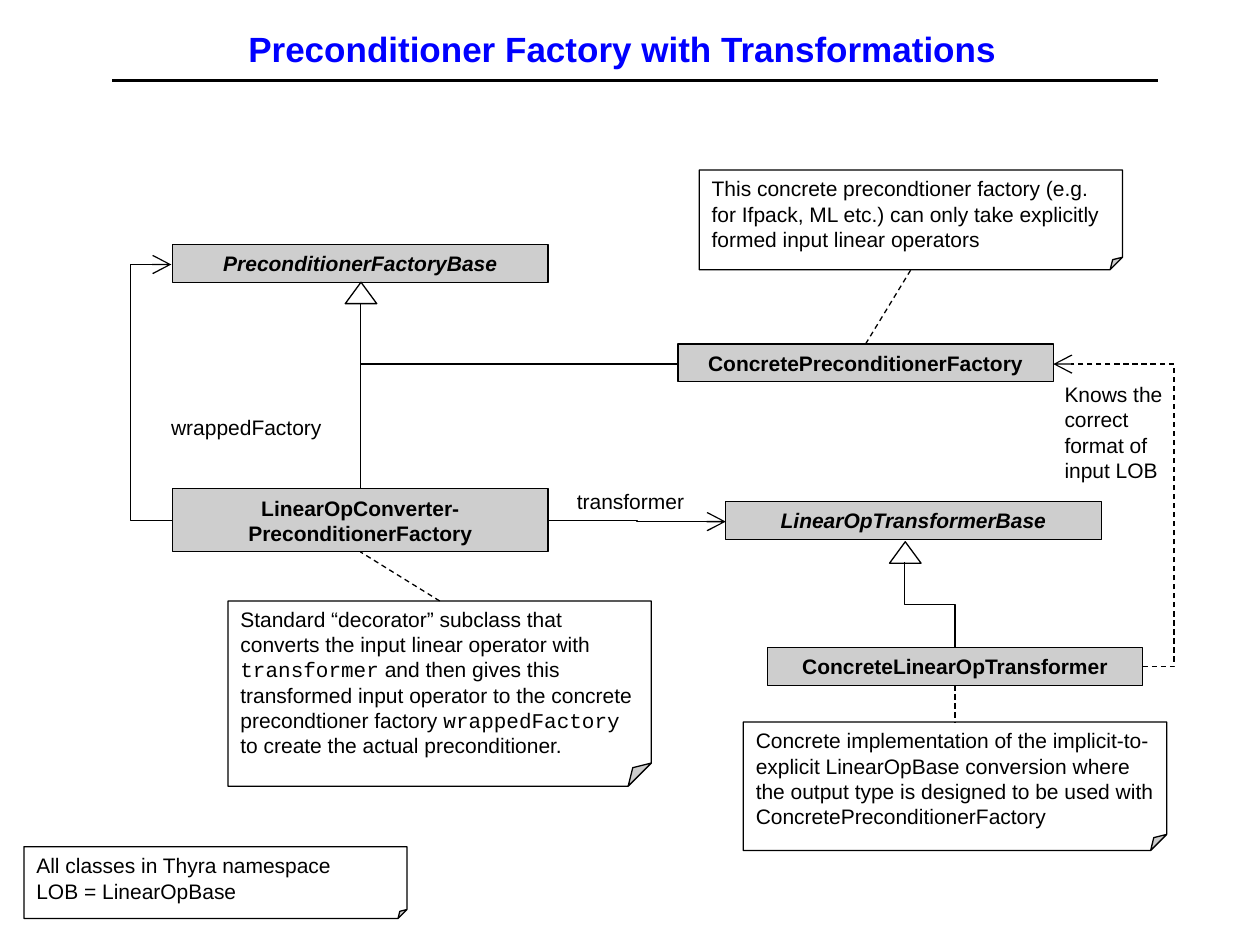
from dataclasses import dataclass
from typing import NamedTuple

from lxml import etree
from pptx import Presentation
from pptx import util as u
from pptx.dml.color import RGBColor
from pptx.enum import dml, shapes, text
from pptx.oxml.ns import qn


@dataclass(frozen=True)
class Theme:
    ink: str = "000000"
    title: str = "0000FF"
    box: str = "CECECE"
    paper: str = "FFFFFF"
    font: str = "Arial"
    code: str = "Courier New"
    title_size: float = 20
    body_size: float = 12
    thin: float = 0.75
    rule: float = 2


class ClassBox(NamedTuple):
    name: str
    col: float
    row: float
    rows: float = 3
    abstract: bool = False


class Note(NamedTuple):
    paragraphs: list
    col: float
    row: float
    cols: float
    rows: float
    after: float = 7.5


class Label(NamedTuple):
    words: str
    col: float
    row: float
    cols: float
    rows: float = 3


T = Theme()
COLS, ROWS = 100, 75
CLASS_COLS, NOTE_COLS = 29.8, 33.6
AUTO = shapes.MSO_SHAPE

prs = Presentation()
prs.slide_width, prs.slide_height = u.Inches(10), u.Inches(7.5)
s = prs.slides.add_slide(prs.slide_layouts[6])


def x(col: float) -> int:
    return round(prs.slide_width * col / COLS)


def y(row: float) -> int:
    return round(prs.slide_height * row / ROWS)


def rgb(color: str) -> RGBColor:
    return RGBColor.from_string(color)


def write(sp, paragraphs: list, *, size=T.body_size, color=T.ink, bold=False,
          italic=False, align=text.PP_ALIGN.LEFT, anchor=text.MSO_ANCHOR.TOP,
          after=0, grow=True) -> None:
    """Fill a shape; in each paragraph every second part is set as code."""
    tf = sp.text_frame
    tf.word_wrap, tf.vertical_anchor = True, anchor
    tf.auto_size = (text.MSO_AUTO_SIZE.SHAPE_TO_FIT_TEXT if grow
                    else text.MSO_AUTO_SIZE.NONE)
    for i, parts in enumerate(paragraphs):
        p = tf.add_paragraph() if i else tf.paragraphs[0]
        p.alignment, p.space_after = align, u.Pt(after)
        for j, part in enumerate(parts):
            r = p.add_run()
            r.text = part
            r.font.name = T.code if j % 2 else T.font
            r.font.size, r.font.bold, r.font.italic = u.Pt(size), bold, italic
            r.font.color.rgb = rgb(color)


def set_guide(sp, name: str, share: float) -> None:
    """Set one adjustment of a preset outline."""
    geom = sp._element.spPr.find(qn("a:prstGeom"))
    guides = geom.find(qn("a:avLst"))
    if guides is None:
        guides = etree.SubElement(geom, qn("a:avLst"))
    etree.SubElement(guides, qn("a:gd"), name=name, fmla=f"val {round(share * 100000)}")


def add_shape(kind, col: float, row: float, cols: float, rows: float, fill: str):
    sp = s.shapes.add_shape(kind, x(col), y(row), x(cols), y(rows))
    sp.shadow.inherit = False
    sp.fill.solid()
    sp.fill.fore_color.rgb = rgb(fill)
    sp.line.color.rgb, sp.line.width = rgb(T.ink), u.Pt(T.thin)
    return sp


def add_class(c: ClassBox):
    sp = add_shape(AUTO.RECTANGLE, c.col, c.row, CLASS_COLS, c.rows, T.box)
    write(sp, [[c.name]], bold=True, italic=c.abstract, align=text.PP_ALIGN.CENTER)
    return sp


def add_note(n: Note):
    sp = add_shape(AUTO.FOLDED_CORNER, n.col, n.row, n.cols, n.rows, T.paper)
    set_guide(sp, "adj", 0.125)
    write(sp, n.paragraphs, anchor=text.MSO_ANCHOR.MIDDLE, after=n.after)
    return sp


def add_label(lb: Label, **style) -> None:
    sp = s.shapes.add_textbox(x(lb.col), y(lb.row), x(lb.cols), y(lb.rows))
    write(sp, [[lb.words]], **style)


def connect(start: tuple, end: tuple, *, kind=shapes.MSO_CONNECTOR.STRAIGHT,
            width=T.thin, dashed=False, arrow=False):
    cx = s.shapes.add_connector(kind, x(start[0]), y(start[1]), x(end[0]), y(end[1]))
    cx.line.color.rgb, cx.line.width = rgb(T.ink), u.Pt(width)
    if dashed:
        cx.line.dash_style = dml.MSO_LINE.DASH
    if arrow:
        etree.SubElement(cx._element.spPr.find(qn("a:ln")), qn("a:tailEnd"),
                         type="arrow", w="lg", len="lg")
    etree.SubElement(cx._element.spPr, qn("a:effectLst"))
    return cx


def elbow(start: tuple, end: tuple, *, bend=0.5, down_first=False,
          corner=False, **style) -> None:
    """Bent line; bend is the share of the first axis at which it turns."""
    cx = connect(start, end, kind=shapes.MSO_CONNECTOR.ELBOW, **style)
    if corner:
        cx._element.spPr.find(qn("a:prstGeom")).set("prst", "bentConnector2")
    else:
        set_guide(cx, "adj1", bend)
    if down_first:  # quarter turn about the centre, going down and right
        w, h = cx.width, cx.height
        cx.left, cx.top = cx.left + (w - h) // 2, cx.top + (h - w) // 2
        cx.width, cx.height = h, w
        xfrm = cx._element.spPr.find(qn("a:xfrm"))
        xfrm.set("rot", "16200000")
        xfrm.set("flipH", "1")


def tie(start, start_side: int, end, end_side: int) -> None:
    """Dashed line between the middles of two sides."""
    cx = connect((0, 0), (1, 1), dashed=True)
    cx.begin_connect(start, start_side)
    cx.end_connect(end, end_side)


# Title and rule
connect((8.9, 6.4), (91.9, 6.4), width=T.rule)
add_label(Label("Preconditioner Factory with Transformations", 6.9, 1.4, 85, 4.9),
          size=T.title_size, color=T.title, bold=True, grow=False,
          align=text.PP_ALIGN.CENTER, anchor=text.MSO_ANCHOR.MIDDLE)

# Classes
add_class(ClassBox("PreconditionerFactoryBase", 13.7, 19.4, abstract=True))
add_class(ClassBox("LinearOpTransformerBase", 57.6, 39.8, abstract=True))
converter = add_class(ClassBox("LinearOpConverter-PreconditionerFactory", 13.7, 38.8, 5))
concrete_factory = add_class(ClassBox("ConcretePreconditionerFactory", 53.8, 27.3))
concrete_transformer = add_class(ClassBox("ConcreteLinearOpTransformer", 60.9, 51.4))

# Notes
decorator_note = add_note(Note([[
    "Standard “decorator” subclass that converts the input linear operator with ",
    "transformer",
    " and then gives this transformed input operator to the concrete precondtioner factory ",
    "wrappedFactory",
    " to create the actual preconditioner."]], 18.1, 47.7, NOTE_COLS, 14.7))
factory_note = add_note(Note([[
    "This concrete precondtioner factory (e.g. for Ifpack, ML etc.) can only take "
    "explicitly formed input linear operators"]], 55.5, 13.5, NOTE_COLS, 7.9))
transformer_note = add_note(Note([[
    "Concrete implementation of the implicit-to-explicit LinearOpBase conversion where "
    "the output type is designed to be used with ConcretePreconditionerFactory"]],
    59, 57.3, NOTE_COLS, 10.2))
add_note(Note([["All classes in Thyra namespace"], ["LOB = LinearOpBase"]],
              1.9, 67.2, 30.4, 5.7, after=0))

# Inheritance
for col, row in [(27.4, 22.4), (70.6, 43)]:
    add_shape(AUTO.ISOSCELES_TRIANGLE, col, row, 2.5, 1.7, T.paper)
connect((28.6, 24.1), (28.6, 38.8)).end_connect(converter, 0)
elbow((28.6, 24.1), (53.8, 28.9), down_first=True, corner=True)
elbow((71.8, 44.6), (75.8, 51.4), down_first=True)

# Associations
elbow((43.5, 41.3), (57.6, 41.4), arrow=True)
elbow((13.7, 41.3), (13.6, 21), bend=34, arrow=True)
elbow((90.7, 52.9), (83.6, 28.9), bend=-0.35, dashed=True, arrow=True)

# Ties from notes to classes
tie(decorator_note, 0, converter, 2)
tie(concrete_factory, 0, factory_note, 2)
tie(concrete_transformer, 2, transformer_note, 0)

# Labels
for label in [Label("transformer", 44.8, 38.3, 11.1),
              Label("wrappedFactory", 12.6, 32.4, 14.8),
              Label("Knows the correct format of input LOB", 83.5, 29.8, 11.1, 9)]:
    add_label(label)

prs.save("out.pptx")
